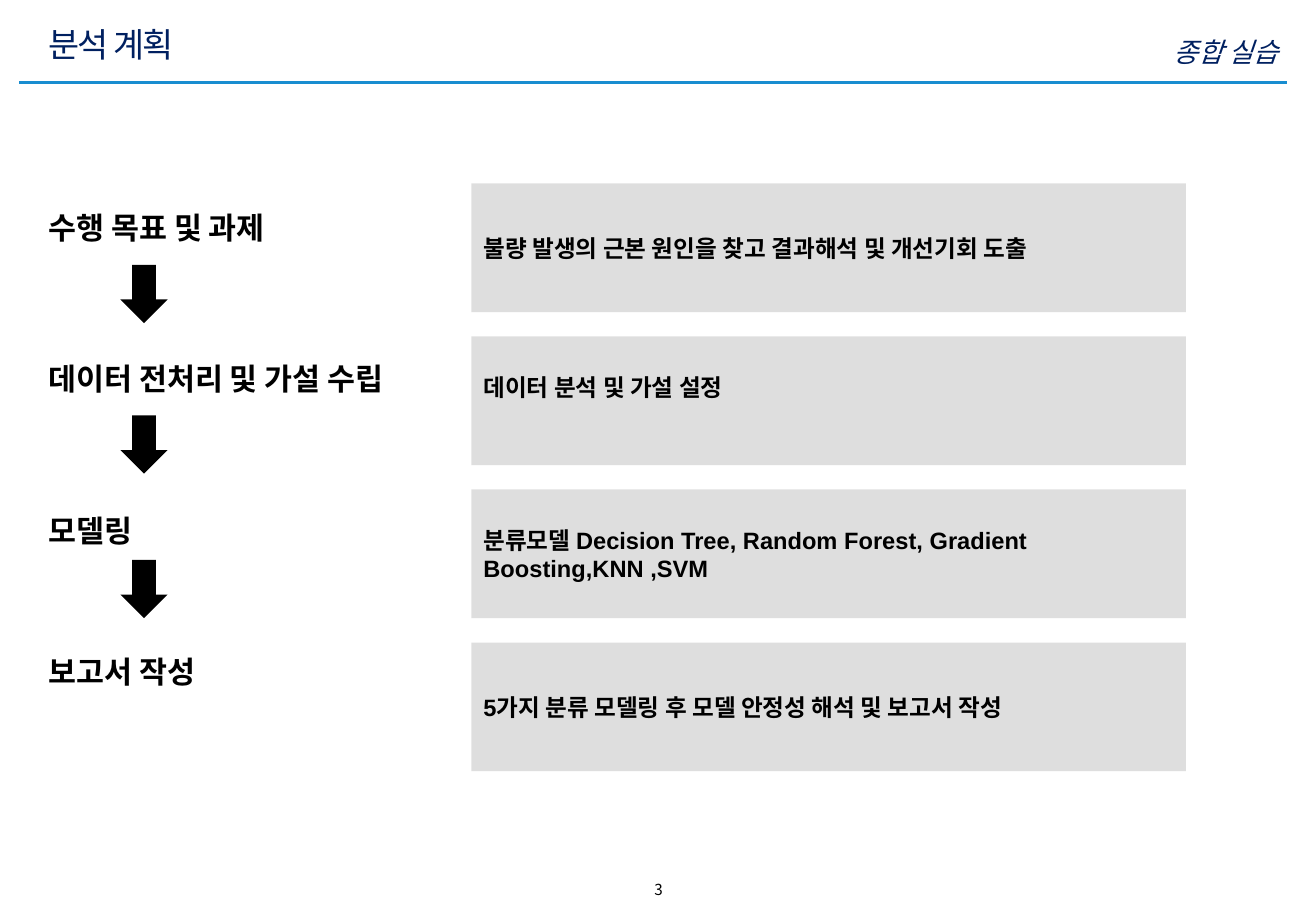
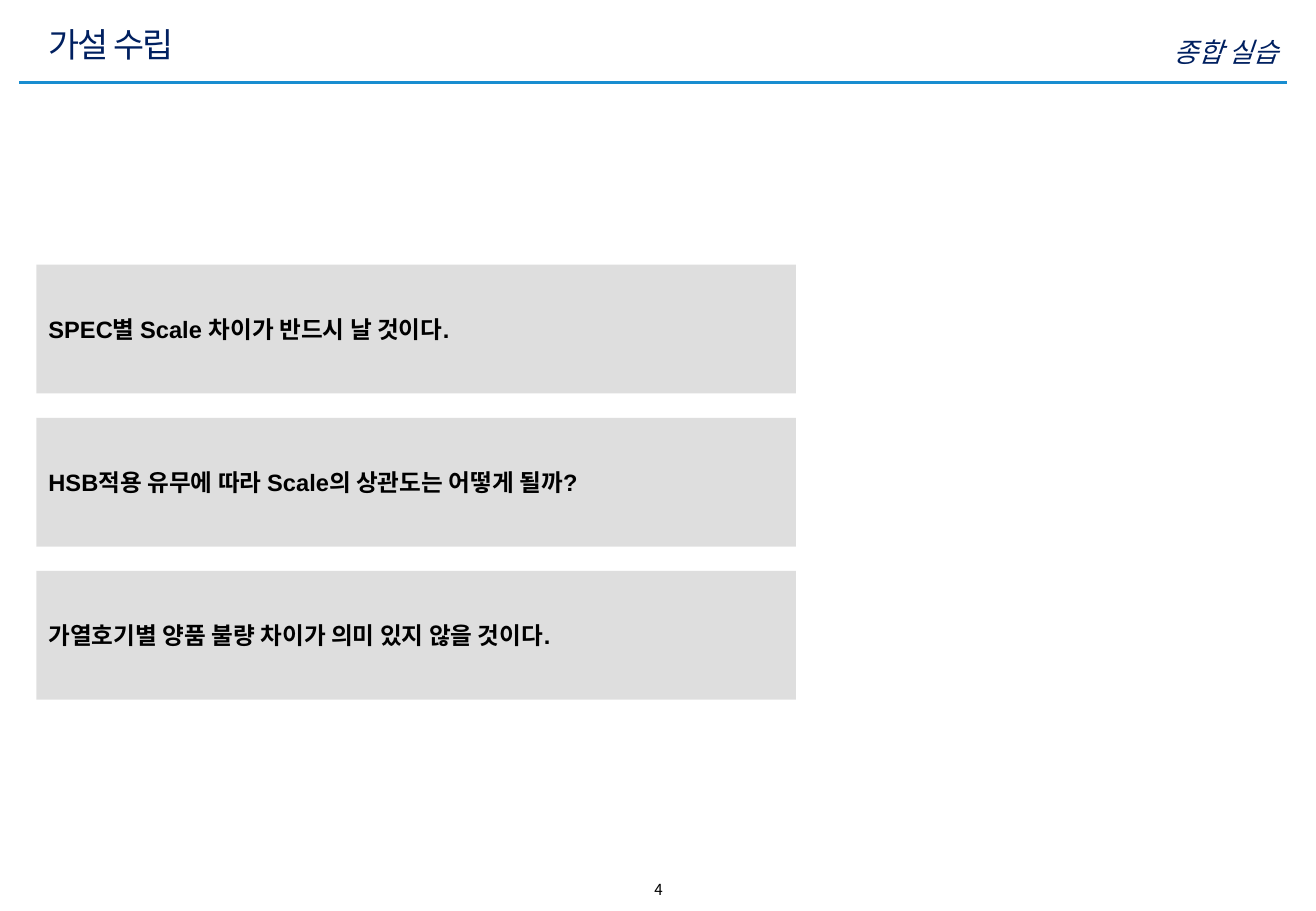
from lxml.etree import SubElement
from pptx import Presentation
from pptx.dml.color import RGBColor
from pptx.enum.shapes import MSO_CONNECTOR, MSO_SHAPE
from pptx.enum.text import MSO_ANCHOR, PP_ALIGN
from pptx.oxml.ns import qn
from pptx.util import Pt

PX = 9144  # 100 px to the inch
PAGE_WIDTH, PAGE_HEIGHT = 1083, 750

NAVY = RGBColor(0x00, 0x20, 0x60)
BLUE = RGBColor(0x18, 0x8D, 0xD0)
GRAY = RGBColor(0xBF, 0xBF, 0xBF)
BLACK = RGBColor(0x00, 0x00, 0x00)
KOREAN_FONT, LATIN_FONT = "Noto Sans CJK KR", "Arial"

COURSE = "종합 실습"
LEFT = 30
BAND_HEIGHT, BAND_PITCH = 106, 126
ARROW_LEFT, ARROW_WIDTH, ARROW_HEIGHT = 99, 39, 48
LINE_HEIGHT = 23

PLAN_TITLE = "분석 계획"
# step label, its top, top of the arrow below it
PLAN_STEPS = [
    ("수행 목표 및 과제", 167, 218),
    ("데이터 전처리 및 가설 수립", 292, 342),
    ("모델링", 417, 461),
    ("보고서 작성", 533, None),
]
# description, lines left free below it
PLAN_DETAILS = [
    ("불량 발생의 근본 원인을 찾고 결과해석 및 개선기회 도출", 0),
    ("데이터 분석 및 가설 설정", 1),
    ("분류모델 Decision Tree, Random Forest, Gradient Boosting,KNN ,SVM", 0),
    ("5가지 분류 모델링 후 모델 안정성 해석 및 보고서 작성", 0),
]

HYPOTHESES_TITLE = "가설 수립"
HYPOTHESES = [
    ("SPEC별 Scale 차이가 반드시 날 것이다.", 0),
    ("HSB적용 유무에 따라 Scale의 상관도는 어떻게 될까?", 0),
    ("가열호기별 양품 불량 차이가 의미 있지 않을 것이다.", 0),
]


def place(*lengths):
    return [length * PX for length in lengths]


def write(box, text, size, color=BLACK, font=LATIN_FONT, bold=False, italic=False,
          align=PP_ALIGN.LEFT, anchor=MSO_ANCHOR.TOP):
    """Put one formatted paragraph in a shape and return its run."""
    frame = box.text_frame
    frame.text = text
    frame.word_wrap = True
    frame.vertical_anchor = anchor
    para = frame.paragraphs[0]
    para.alignment = align
    span = para.runs[0]
    span.font.size = Pt(size)
    span.font.name = font
    span.font.bold = bold
    span.font.italic = italic
    span.font.color.rgb = color
    SubElement(span.font._element, qn("a:ea"), typeface=KOREAN_FONT)
    return span


def add_text(page, area, text, size, **style):
    return write(page.shapes.add_textbox(*place(*area)), text, size, **style)


def add_filled(page, preset, area, color):
    shape = page.shapes.add_shape(preset, *place(*area))
    shape.shadow.inherit = False
    shape.fill.solid()
    shape.fill.fore_color.rgb = color
    shape.line.fill.background()
    return shape


def add_page(deck, title, number):
    """Add a page with the shared rule, title, course name and number."""
    page = deck.slides.add_slide(deck.slide_layouts[6])
    rule = page.shapes.add_connector(MSO_CONNECTOR.STRAIGHT, *place(16, 68, 1059, 68))
    rule.line.color.rgb = BLUE
    rule.line.width = Pt(2)
    SubElement(rule._element.spPr, qn("a:effectLst"))
    add_text(page, (439, 720, 206, 25), str(number), 9, font=KOREAN_FONT,
             align=PP_ALIGN.CENTER)
    add_text(page, (655, 24, 407, 30), COURSE, 16, color=NAVY, font=KOREAN_FONT,
             italic=True, align=PP_ALIGN.RIGHT)
    heading = add_text(page, (LEFT, 15, 851, 43), title, 20, color=NAVY,
                       font=KOREAN_FONT, anchor=MSO_ANCHOR.MIDDLE)
    heading.font._element.set("spc", "-100")
    return page


def add_bands(page, bands, left, top, width):
    """Stack translucent gray bands at an equal pitch."""
    for index, (text, free_lines) in enumerate(bands):
        area = (left, top + index * BAND_PITCH, width, BAND_HEIGHT)
        band = add_filled(page, MSO_SHAPE.RECTANGLE, area, GRAY)
        tint = band._element.spPr.find(qn("a:solidFill"))[0]
        SubElement(tint, qn("a:alpha"), val="50000")
        write(band, text, 14, bold=True, anchor=MSO_ANCHOR.MIDDLE)
        band.text_frame.margin_bottom = (5 + free_lines * LINE_HEIGHT) * PX


def add_steps(page):
    for label, top, arrow_top in PLAN_STEPS:
        add_text(page, (LEFT, top, 359, 40), label, 18, bold=True)
        if arrow_top is not None:
            area = (ARROW_LEFT, arrow_top, ARROW_WIDTH, ARROW_HEIGHT)
            add_filled(page, MSO_SHAPE.DOWN_ARROW, area, BLACK)


def main():
    deck = Presentation()
    deck.slide_width, deck.slide_height = place(PAGE_WIDTH, PAGE_HEIGHT)

    plan = add_page(deck, PLAN_TITLE, 3)
    add_bands(plan, PLAN_DETAILS, left=388, top=151, width=588)
    add_steps(plan)

    hypotheses = add_page(deck, HYPOTHESES_TITLE, 4)
    add_bands(hypotheses, HYPOTHESES, left=LEFT, top=218, width=625)

    deck.save("out.pptx")


if __name__ == "__main__":
    main()
